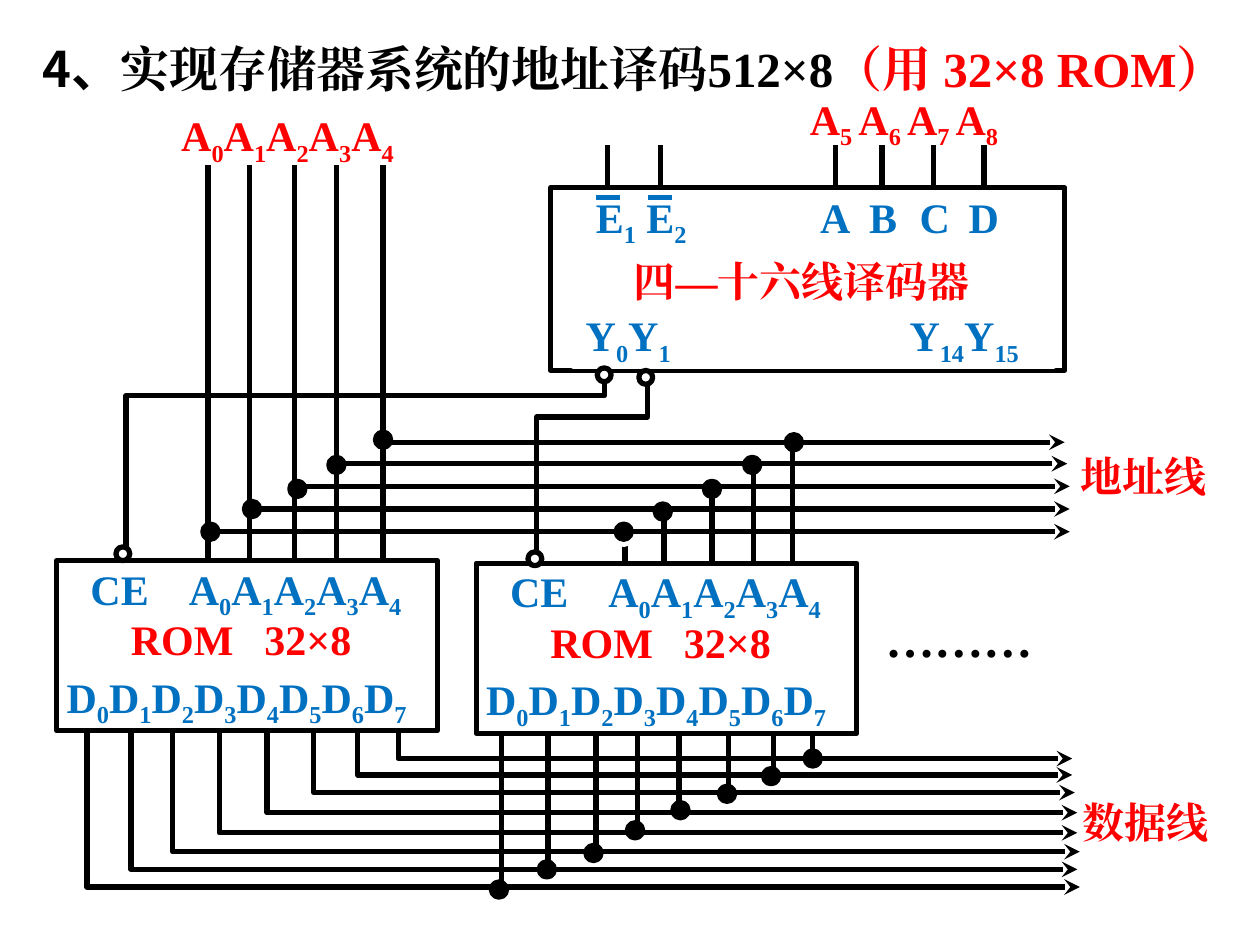
"""Build the slide on address decoding for a 512×8 memory made of 32×8 ROMs."""
from lxml import etree
from pptx import Presentation
from pptx import util as u
from pptx.dml.color import RGBColor
from pptx.enum import shapes, text
from pptx.oxml import ns

BLACK = RGBColor(0, 0, 0)
WHITE = RGBColor(255, 255, 255)
RED = RGBColor(255, 0, 0)
BLUE = RGBColor(0, 0x70, 0xC0)
SERIF = "Times New Roman"
SANS = "Noto Sans CJK SC"


def add(parent, tag, **attrs):
    return etree.SubElement(parent, ns.qn(tag), attrs)


def numbered(letter, numbers):
    """Join a letter with subscripts, which stand between bars."""
    return "".join(f"{letter}|{n}|" for n in numbers)


class Diagram:
    """Holds the slide and the style of its wires, boxes and labels."""

    def __init__(self, slide):
        self.shapes = slide.shapes
        self.width = u.Pt(3)

    def outline(self, sp, color, arrow=False):
        sp.line.color.rgb = color
        sp.line.width = self.width
        if arrow:
            add(sp.line._get_or_add_ln(), "a:tailEnd", type="stealth")

    def shape(self, kind, x, y, w, h, line=BLACK, fill=None):
        sp = self.shapes.add_shape(kind, *map(u.Inches, (x, y, w, h)))
        sp.shadow.inherit = False
        if fill is None:
            sp.fill.background()
        else:
            sp.fill.solid()
            sp.fill.fore_color.rgb = fill
        self.outline(sp, line)
        return sp

    def box(self, x, y, w, h, line=BLACK):
        return self.shape(shapes.MSO_SHAPE.RECTANGLE, x, y, w, h, line)

    def dot(self, x, y, size=0.12, line=BLACK, fill=BLACK):
        self.shape(shapes.MSO_SHAPE.OVAL, x, y, size, size, line, fill)

    def bubble(self, x, y):
        self.dot(x, y, 0.11, fill=WHITE)

    def line(self, x1, y1, x2, y2, color=BLACK, arrow=False):
        sp = self.shapes.add_connector(
            shapes.MSO_CONNECTOR.STRAIGHT, *map(u.Inches, (x1, y1, x2, y2)))
        self.outline(sp, color, arrow)
        add(sp._element.spPr, "a:effectLst")

    def bent(self, points, arrow=False):
        start, *rest = [(u.Inches(x), u.Inches(y)) for x, y in points]
        builder = self.shapes.build_freeform(*start)
        builder.add_line_segments(rest, close=False)
        sp = builder.convert_to_shape()
        sp.shadow.inherit = False
        sp.fill.background()
        self.outline(sp, BLACK, arrow)

    def run(self, p, content, font=SERIF):
        r = p.add_run()
        r.text = content
        r.font.name = font
        add(r._r.get_or_add_rPr(), "a:ea", typeface=font)
        return r

    def paragraph(self, sp, size, anchor=text.MSO_ANCHOR.TOP):
        tf = sp.text_frame
        tf.word_wrap = True
        tf.vertical_anchor = anchor
        p = tf.paragraphs[0]
        p.alignment = text.PP_ALIGN.LEFT
        return p

    def style(self, p, size, color):
        p.font.size = u.Pt(size)
        p.font.bold = True
        p.font.color.rgb = color

    def label(self, content, x, y, w, color, tabs=(), size=24, h=0.5, framed=False):
        if framed:
            sp = self.box(x, y, w, h, WHITE)
        else:
            sp = self.shapes.add_textbox(*map(u.Inches, (x, y, w, h)))
        p = self.paragraph(sp, size)
        if tabs:
            stops = add(p._p.get_or_add_pPr(), "a:tabLst")
            for pos in tabs:
                add(stops, "a:tab", pos=str(u.Inches(pos)), algn="l")
        self.style(p, size, color)
        for i, part in enumerate(content.split("|")):
            if part:
                r = self.run(p, part)
                r.font.color.rgb = color
                if i % 2:
                    r._r.get_or_add_rPr().set("baseline", "-25000")

    def title(self, parts, x, y, w, h):
        sp = self.shapes.add_textbox(*map(u.Inches, (x, y, w, h)))
        p = self.paragraph(sp, 28, text.MSO_ANCHOR.MIDDLE)
        self.style(p, 28, BLACK)
        for content, font, color in parts:
            self.run(p, content, font).font.color.rgb = color

    def decoder(self):
        self.box(4.37, 1.49, 4.08, 1.45)
        self.label("四—十六线译码器", 4.93, 1.98, 2.98, RED)
        self.label(numbered("Y", (0, 1)) + "\t" + numbered("Y", (14, 15)),
                   4.55, 2.41, 3.81, BLUE, tabs=[2.57], framed=True)
        self.label("E|1| E|2|\tA\tB\tC\tD", 4.63, 1.47, 3.65, BLUE,
                   tabs=[1.78, 2.17, 2.57, 2.96])
        for x in (4.73, 5.14):
            self.line(x, 1.57, x + 0.19, 1.57, BLUE)
        for x in (4.82, 5.24, 6.63, 7, 7.41, 7.81):
            self.line(x, 1.5, x, 1.15)
        self.label("A|5 |A|6 |A|7 |A|8", 6.33, 0.69, 1.94, RED)

    def rom(self, x, y):
        self.box(x, y, 3.02, 1.35)
        self.label("CE\t" + numbered("A", range(5)), x + 0.17, y - 0.03, 2.76,
                   BLUE, tabs=[0.78])
        self.label("ROM\t32×8", x + 0.49, y + 0.37, 2.16, RED, tabs=[1.06])
        self.label(numbered("D", range(8)), x - 0.02, y + 0.83, 3.1, BLUE)


ADDRESS = [
    (1.65, 4.22, 8.49, 4.96), (1.98, 4.04, 8.49, 5.27), (2.34, 3.86, 8.49, 5.65),
    (2.67, 3.68, 8.47, 5.98), (3.04, 3.51, 8.45, 6.29)]
ADDRESS_DOTS = [
    (1.61, 4.16), (1.94, 3.98), (2.3, 3.82), (2.61, 3.63), (2.98, 3.43),
    (4.89, 4.16), (5.2, 4), (5.59, 3.82), (5.91, 3.63), (6.24, 3.45)]
DATA = [
    (0.69, 7.04, 8.57, 3.98), (1.04, 6.9, 8.55, 4.35), (1.37, 6.76, 8.57, 4.73),
    (1.74, 6.61, 8.55, 5.06), (2.12, 6.45, 8.55, 5.39), (2.49, 6.29, 8.53, 5.78),
    (2.84, 6.15, 8.51, 6.14), (3.16, 6.02, 8.51, 6.45)]
DATA_DOTS = [
    (3.9, 7), (4.28, 6.84), (4.65, 6.71), (4.98, 6.53),
    (5.34, 6.37), (5.71, 6.24), (6.06, 6.1), (6.39, 5.96)]


def main():
    prs = Presentation()
    prs.slide_width, prs.slide_height = u.Inches(10), u.Inches(7.5)
    d = Diagram(prs.slides.add_slide(prs.slide_layouts[6]))
    d.title([("4、", SANS, BLACK), ("实现存储器系统的地址译码512×8", SERIF, BLACK),
             ("（用 32×8 ROM）", SERIF, RED)], 0.24, 0.26, 9.59, 0.56)
    d.decoder()
    d.rom(0.45, 4.45)
    d.rom(3.78, 4.47)
    d.label("………", 6.93, 4.78, 1.61, BLACK, size=28, h=0.57, framed=True)
    d.label(numbered("A", range(5)), 1.34, 0.82, 2.2, RED)
    for x, y, end, tap in ADDRESS:
        d.line(x, 4.43, x, 1.31)
        d.line(x, y, end, y, arrow=True)
        d.line(tap, y, tap, 4.47)
    d.bent([(4.8, 2.94), (4.8, 3.14), (1, 3.14), (1, 4.43)])
    d.bent([(5.14, 2.94), (5.14, 3.31), (4.26, 3.31), (4.26, 4.49)])
    for x, y, end, tap in DATA:
        d.bent([(x, 5.8), (x, y), (end, y)], arrow=True)
        d.line(tap, 5.82, tap, y)
    d.dot(4.89, 4.2, line=WHITE, fill=WHITE)
    for x, y in ADDRESS_DOTS + DATA_DOTS:
        d.dot(x, y)
    d.label("地址线", 8.48, 3.53, 1.35, RED)
    d.label("数据线", 8.49, 6.27, 1.35, RED)
    for x, y in [(4.74, 2.92), (5.07, 2.94), (0.92, 4.34), (4.19, 4.38)]:
        d.bubble(x, y)
    prs.save("out.pptx")


if __name__ == "__main__":
    main()
